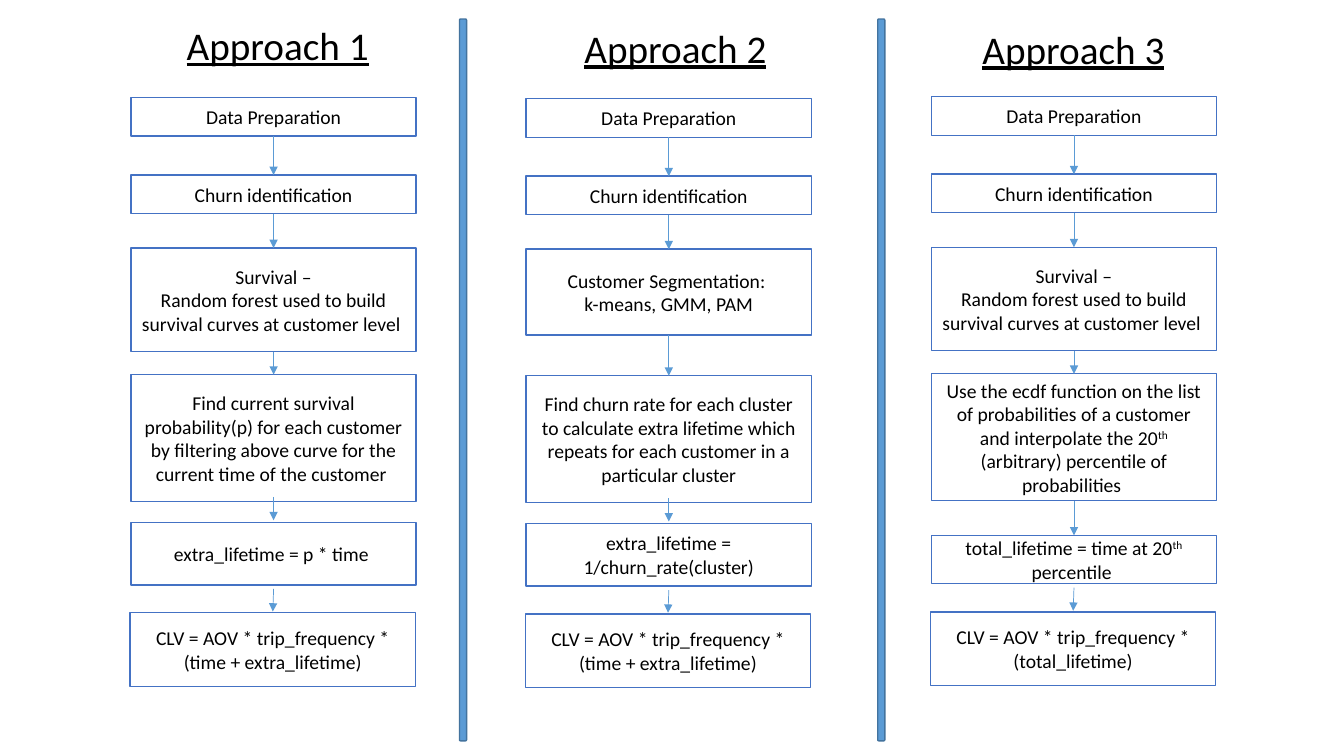
from lxml import etree
from pptx import Presentation
from pptx.dml.color import RGBColor
from pptx.enum.shapes import MSO_CONNECTOR, MSO_SHAPE
from pptx.enum.text import MSO_ANCHOR, MSO_AUTO_SIZE, PP_ALIGN
from pptx.oxml.ns import qn
from pptx.util import Cm, Pt

RECT, ROUNDED = MSO_SHAPE.RECTANGLE, MSO_SHAPE.ROUNDED_RECTANGLE
STRAIGHT = MSO_CONNECTOR.STRAIGHT
TOP, MIDDLE = MSO_ANCHOR.TOP, MSO_ANCHOR.MIDDLE
LEFT, CENTER = PP_ALIGN.LEFT, PP_ALIGN.CENTER
NO_FIT = MSO_AUTO_SIZE.NONE
TITLE_ONLY = 5
BOTTOM_SITE, TOP_SITE = 2, 0

COLORS = {
    "text": "000000",
    "box": "FFFFFF",
    "box_line": "4472C4",
    "accent": "5B9BD5",
    "divider_line": "43739E",
}
FONT = "Calibri"

# Flow geometry in cm: top and height of each step
STEP_WIDTH = 7.19
STEPS = [(2.46, 0.97), (4.41, 0.97), (6.25, 2.61),
         (9.44, 3.2), (13.16, 1.58), (15.44, 1.86)]
FINAL_SHIFT = -0.02
# Arrows that stand off their steps: upper step -> (start shift, end shift)
LOOSE_ARROWS = {3: (-0.12, -0.05), 4: (0.1, -0.03)}

PREPARATION = ["Data Preparation", "Churn identification"]
SURVIVAL = ("Survival –\nRandom forest used to build survival curves "
            "at customer level ")
CLV_EXTRA = "CLV = AOV * trip_frequency * (time + extra_lifetime)"

# Carets enclose superscripts; "custom" replaces the geometry of a step
APPROACHES = [
    {"heading": "Approach 1", "heading_at": (4.45, 0.41, 6.3),
     "left": 3.3, "shift": 0, "custom": {}, "loose": LOOSE_ARROWS,
     "texts": PREPARATION + [
         SURVIVAL,
         "Find current survival probability(p) for each customer by "
         "filtering above curve for the current time of the customer ",
         "extra_lifetime = p * time ",
         CLV_EXTRA]},
    {"heading": "Approach 2", "heading_at": (14.48, 0.48, 6.3),
     "left": 13.26, "shift": 0.03, "custom": {2: (6.25, 2.16)},
     "loose": LOOSE_ARROWS,
     "texts": PREPARATION + [
         "Customer Segmentation: \nk-means, GMM, PAM",
         "Find churn rate for each cluster to calculate extra lifetime "
         "which repeats for each customer in a particular cluster",
         "extra_lifetime = 1/churn_rate(cluster)",
         CLV_EXTRA]},
    {"heading": "Approach 3", "heading_at": (24.51, 0.51, 6.3),
     "left": 23.47, "shift": -0.02, "custom": {4: (13.51, 1.22)},
     "loose": {4: LOOSE_ARROWS[4]},
     "texts": PREPARATION + [
         SURVIVAL,
         "Use the ecdf function on the list of probabilities of a customer "
         "and interpolate the 20^th^ (arbitrary) percentile of "
         "probabilities ",
         "total_lifetime = time at 20^th^ percentile ",
         "CLV = AOV * trip_frequency * (total_lifetime)"]},
]


def color(name):
    return RGBColor.from_string(COLORS[name])


def add_run(paragraph, text, size):
    run = paragraph.add_run()
    run.text = text
    run.font.name = FONT
    run.font.size = Pt(size)
    run.font.color.rgb = color("text")
    return run


def add_block(slide, kind, left, top, width, height, fill, line):
    block = slide.shapes.add_shape(kind, Cm(left), Cm(top),
                                   Cm(width), Cm(height))
    block.shadow.inherit = False
    block.fill.solid()
    block.fill.fore_color.rgb = color(fill)
    block.line.color.rgb = color(line)
    block.line.width = Pt(1)
    return block


def add_step(slide, text, left, top, height):
    step = add_block(slide, RECT, left, top, STEP_WIDTH, height,
                     "box", "box_line")
    frame = step.text_frame
    frame.word_wrap = True
    frame.vertical_anchor = MIDDLE
    for number, line in enumerate(text.split("\n")):
        paragraph = frame.add_paragraph() if number else frame.paragraphs[0]
        paragraph.alignment = CENTER
        for part, words in enumerate(line.split("^")):
            run = add_run(paragraph, words, 14)
            if part % 2:
                run._r.get_or_add_rPr().set("baseline", "30000")
    return step


def add_arrow(slide, upper, lower, shifts):
    start_shift, end_shift = shifts or (0, 0)
    arrow = slide.shapes.add_connector(
        STRAIGHT,
        upper.left + upper.width // 2,
        upper.top + upper.height + Cm(start_shift),
        lower.left + lower.width // 2,
        lower.top + Cm(end_shift))
    if not shifts:
        arrow.begin_connect(upper, BOTTOM_SITE)
        arrow.end_connect(lower, TOP_SITE)
    arrow.line.color.rgb = color("accent")
    arrow.line.width = Pt(0.5)
    etree.SubElement(arrow.line._get_or_add_ln(), qn("a:tailEnd"),
                     type="triangle")
    etree.SubElement(arrow._element.spPr, qn("a:effectLst"))


def format_heading(heading, text, left, top, width):
    heading.left, heading.top = Cm(left), Cm(top)
    heading.width, heading.height = Cm(width), Cm(1.45)
    frame = heading.text_frame
    frame.word_wrap = True
    frame.auto_size = NO_FIT
    frame.vertical_anchor = TOP
    frame.paragraphs[0].alignment = LEFT
    add_run(frame.paragraphs[0], text, 28).font.underline = True


def add_flow(slide, approach):
    steps = []
    for index, text in enumerate(approach["texts"]):
        top, height = approach["custom"].get(index, STEPS[index])
        is_final = index == len(STEPS) - 1
        left = approach["left"] + (FINAL_SHIFT if is_final else 0)
        steps.append(add_step(slide, text, left, top + approach["shift"],
                              height))
    for index, (upper, lower) in enumerate(zip(steps, steps[1:])):
        add_arrow(slide, upper, lower, approach["loose"].get(index))


def main():
    prs = Presentation()
    prs.slide_width, prs.slide_height = Cm(33.87), Cm(19.05)
    slide = prs.slides.add_slide(prs.slide_layouts[TITLE_ONLY])

    # Headings: the first one is the slide title
    for index, approach in enumerate(APPROACHES):
        heading = (slide.shapes.add_textbox(0, 0, 0, 0) if index
                   else slide.shapes.title)
        format_heading(heading, approach["heading"], *approach["heading_at"])

    # Flows, one per approach
    for approach in APPROACHES:
        add_flow(slide, approach)

    # Dividers between the approaches
    for left in (11.58, 22.12):
        add_block(slide, ROUNDED, left, 0.48, 0.18, 18.19,
                  "accent", "divider_line")

    prs.save("out.pptx")


main()
